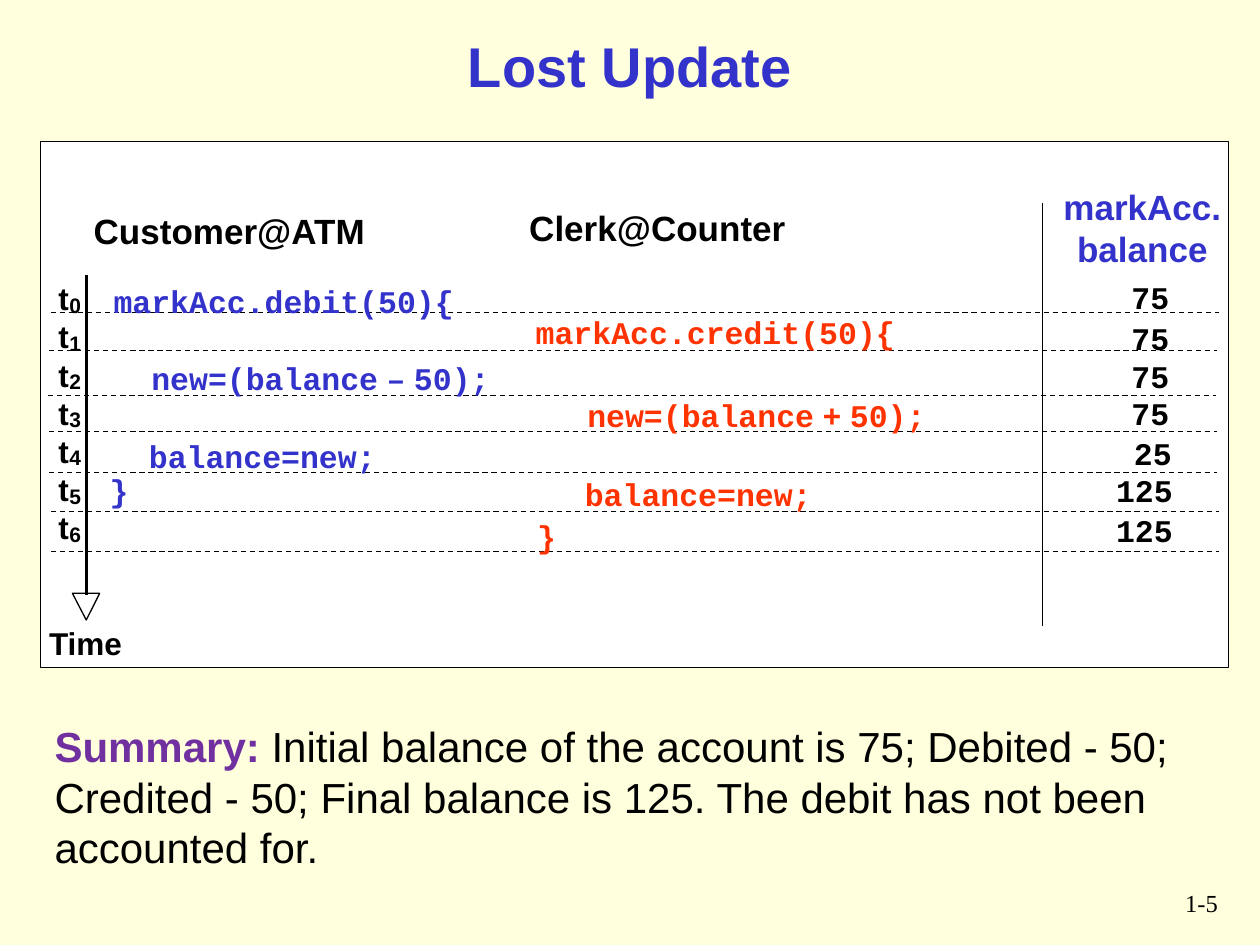
import pptx
import pptx.dml.color
import pptx.enum.dml
import pptx.enum.shapes
import pptx.enum.text
import pptx.util
from lxml import etree
from pptx.dml.color import RGBColor
from pptx.util import Cm

BLACK = RGBColor(0x00, 0x00, 0x00)
WHITE = RGBColor(0xFF, 0xFF, 0xFF)
CREAM = RGBColor(0xFF, 0xFF, 0xDD)
BLUE = RGBColor(0x33, 0x33, 0xCC)
RED = RGBColor(0xFF, 0x33, 0x00)
PURPLE = RGBColor(0x70, 0x30, 0xA0)

LEFT = pptx.enum.text.PP_ALIGN.LEFT
CENTER = pptx.enum.text.PP_ALIGN.CENTER
RIGHT = pptx.enum.text.PP_ALIGN.RIGHT

LABEL = {"name": "Arial", "size": 18, "bold": True, "color": BLACK}
HEADING = {**LABEL, "size": 20}
SUBSCRIPT = {**LABEL, "size": 12}
TITLE = {**LABEL, "size": 32, "color": BLUE}
SUMMARY = {**LABEL, "size": 24, "color": PURPLE}
CODE = {**LABEL, "name": "Courier New"}
CUSTOMER_CODE = {**CODE, "color": BLUE}
CLERK_CODE = {**CODE, "color": RED}
PAGE_NUMBER = {"name": "Times New Roman", "size": 14, "bold": False, "color": BLACK}
THIN = {"size": 8}

ROW_HEIGHT = 0.77
CODE_HEIGHT = 0.76
DIGIT_WIDTH = 0.4


class SlideBuilder:
    def __init__(self, slide):
        self.slide = slide
        slide.background.fill.solid()
        slide.background.fill.fore_color.rgb = CREAM

    def text(self, box, paragraphs, style, align=LEFT, padded=False):
        """Write paragraphs of (text, style changes) runs; padded boxes also wrap."""
        shape = self.slide.shapes.add_textbox(*map(Cm, box))
        frame = shape.text_frame
        across, down = (0.25, 0.13) if padded else (0, 0)
        settings = {
            "word_wrap": padded,
            "auto_size": pptx.enum.text.MSO_AUTO_SIZE.SHAPE_TO_FIT_TEXT,
            "margin_left": Cm(across), "margin_right": Cm(across),
            "margin_top": Cm(down), "margin_bottom": Cm(down),
        }
        for name, value in settings.items():
            setattr(frame, name, value)
        for index, runs in enumerate(paragraphs):
            paragraph = frame.add_paragraph() if index else frame.paragraphs[0]
            paragraph.alignment = align
            for content, changes in runs:
                run = paragraph.add_run()
                run.text = content
                self.format_font(run.font, {**style, **changes})

    def format_font(self, font, style):
        values = {**style, "size": pptx.util.Pt(style["size"])}
        font.color.rgb = values.pop("color")
        for name, value in values.items():
            setattr(font, name, value)

    def outline(self, shape, width=0.75):
        shape.line.color.rgb = BLACK
        shape.line.width = pptx.util.Pt(width)

    def panel(self, box):
        shape = self.slide.shapes.add_shape(
            pptx.enum.shapes.MSO_SHAPE.RECTANGLE, *map(Cm, box))
        shape.shadow.inherit = False
        shape.fill.solid()
        shape.fill.fore_color.rgb = WHITE
        self.outline(shape)

    def line(self, start, end, width=0.75, dashed=False):
        connector = self.slide.shapes.add_connector(
            pptx.enum.shapes.MSO_CONNECTOR.STRAIGHT, *map(Cm, start + end))
        self.outline(connector, width)
        if dashed:
            connector.line.dash_style = pptx.enum.dml.MSO_LINE.DASH
        etree.SubElement(connector._element.spPr, pptx.oxml.ns.qn("a:effectLst"))

    def polygon(self, points):
        first, *others = [tuple(map(Cm, point)) for point in points]
        builder = self.slide.shapes.build_freeform(*first)
        builder.add_line_segments(others, close=True)
        shape = builder.convert_to_shape()
        shape.shadow.inherit = False
        shape.fill.background()
        self.outline(shape)


def plain(*texts):
    """One unchanged run per paragraph."""
    return [[(text, {})] for text in texts]


def new_balance(start, sign):
    return [[(start, {}), (" ", THIN), (sign, {}), (" ", THIN), ("50);", {})]]


def draw_headings(builder):
    builder.text((0, 0.51, 25.4, 1.63), plain("Lost Update"), TITLE, CENTER, True)
    builder.text((1.89, 4.23, 5.51, 0.84), plain("Customer@ATM"), HEADING)
    builder.text((10.67, 4.17, 5.18, 0.84), plain("Clerk@Counter"), HEADING)
    builder.text((21.33, 3.73, 3.4, 1.7), plain("markAcc.", "balance"),
                 {**HEADING, "color": BLUE}, CENTER)


def draw_timeline(builder):
    builder.line((1.74, 5.55), (1.74, 11.99), 1.39)
    builder.polygon([(1.46, 11.96), (1.74, 12.5), (2.01, 11.96)])
    builder.text((0.99, 12.57, 1.47, 0.76), plain("Time"), LABEL)
    for step in range(7):
        offset = step * ROW_HEIGHT
        builder.text((1.18, 5.63 + offset, 0.23, 0.76), plain("t"), LABEL)
        builder.text((1.4, 5.89 + offset, 0.25, 0.51), plain(str(step)), SUBSCRIPT)


def draw_rows(builder):
    rules = [(1.02, 6.3), (0.99, 7.06), (0.97, 7.97), (0.99, 8.7),
             (0.99, 9.53), (1.03, 10.31), (1.03, 11.12)]
    for left, top in rules:
        builder.line((left, top), (left + 23.55, top), dashed=True)
    builder.line((21.02, 4.09), (21.02, 12.62))

    balances = [("75", 22.81, 5.61), ("75", 22.81, 6.43), ("75", 22.81, 7.19),
                ("75", 22.81, 7.95), ("25", 22.86, 8.74),
                ("125", 22.5, 9.5), ("125", 22.5, 10.31)]
    for value, left, top in balances:
        builder.text((left, top, DIGIT_WIDTH * len(value), CODE_HEIGHT),
                     plain(value), CODE)


def draw_code(builder):
    calls = [
        (CUSTOMER_CODE, 2.29, 5.69, 6.88, plain("markAcc.debit(50){")),
        (CUSTOMER_CODE, 2.29, 7.24, 7.59, new_balance("  new=(balance", "–")),
        (CUSTOMER_CODE, 2.24, 8.81, 5.36, plain("  balance=new;")),
        (CUSTOMER_CODE, 2.21, 9.5, DIGIT_WIDTH, plain("}")),
        (CLERK_CODE, 10.8, 6.31, 7.26, plain("markAcc.credit(50){")),
        (CLERK_CODE, 11.84, 7.99, 6.83, new_balance("new=(balance", "+")),
        (CLERK_CODE, 11.79, 9.58, 4.6, plain("balance=new;")),
        (CLERK_CODE, 10.83, 10.42, DIGIT_WIDTH, plain("}")),
    ]
    for style, left, top, width, paragraphs in calls:
        builder.text((left, top, width, CODE_HEIGHT), paragraphs, style)


def main():
    presentation = pptx.Presentation()
    presentation.slide_width, presentation.slide_height = Cm(25.4), Cm(19.05)
    builder = SlideBuilder(presentation.slides.add_slide(presentation.slide_layouts[6]))

    builder.panel((0.82, 2.86, 23.95, 10.6))
    draw_headings(builder)
    draw_timeline(builder)
    draw_rows(builder)
    draw_code(builder)
    builder.text((0.85, 14.4, 23.93, 3.3), [[
        ("Summary: ", {}),
        ("Initial balance of the account is 75; Debited - 50; Credited - 50; "
         "Final balance is 125. The debit has not been accounted for.",
         {"color": BLACK, "bold": False}),
    ]], SUMMARY, padded=True)
    builder.text((23.07, 17.78, 1.73, 1.27), plain("1-5"), PAGE_NUMBER, RIGHT, True)
    presentation.save("out.pptx")


if __name__ == "__main__":
    main()
